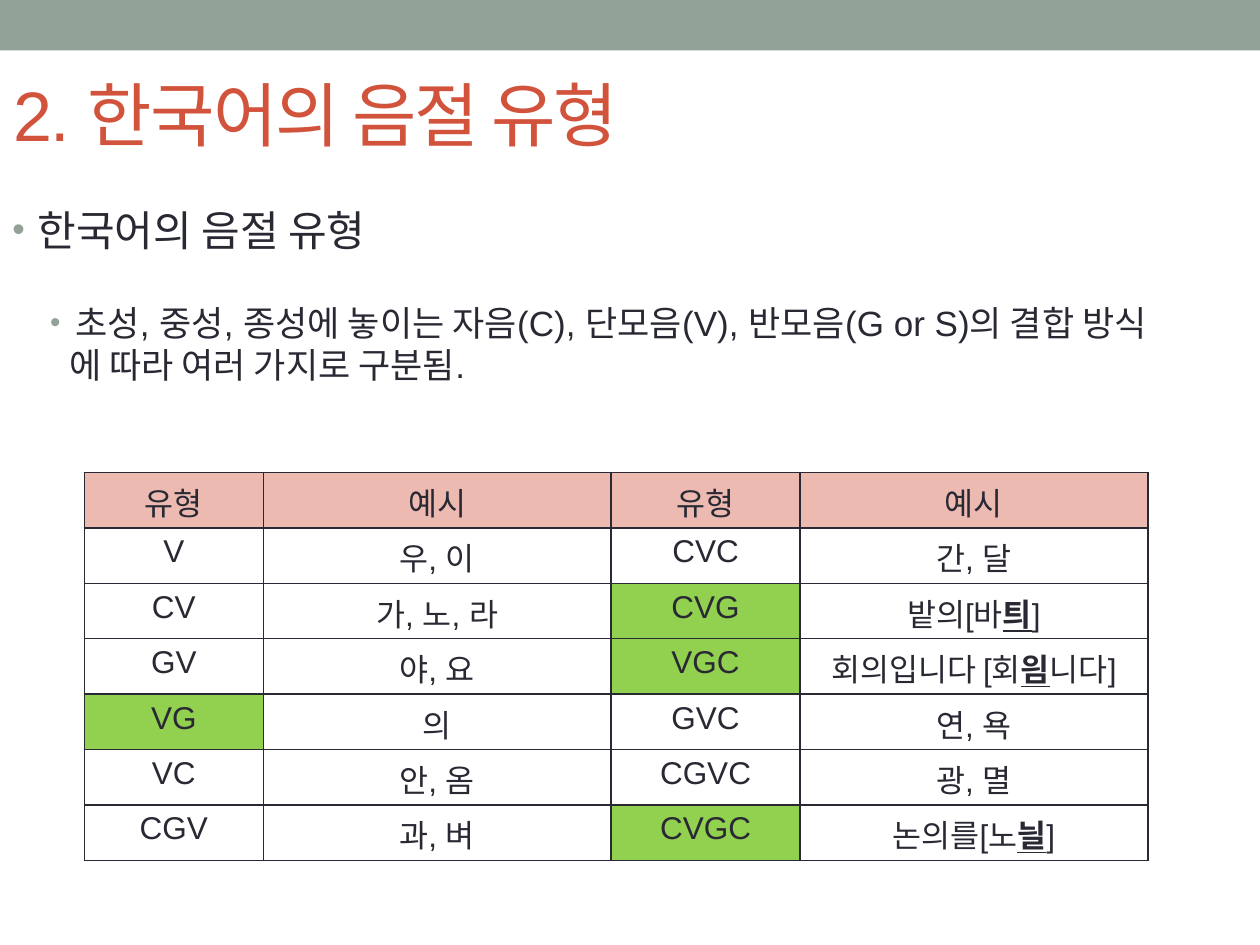
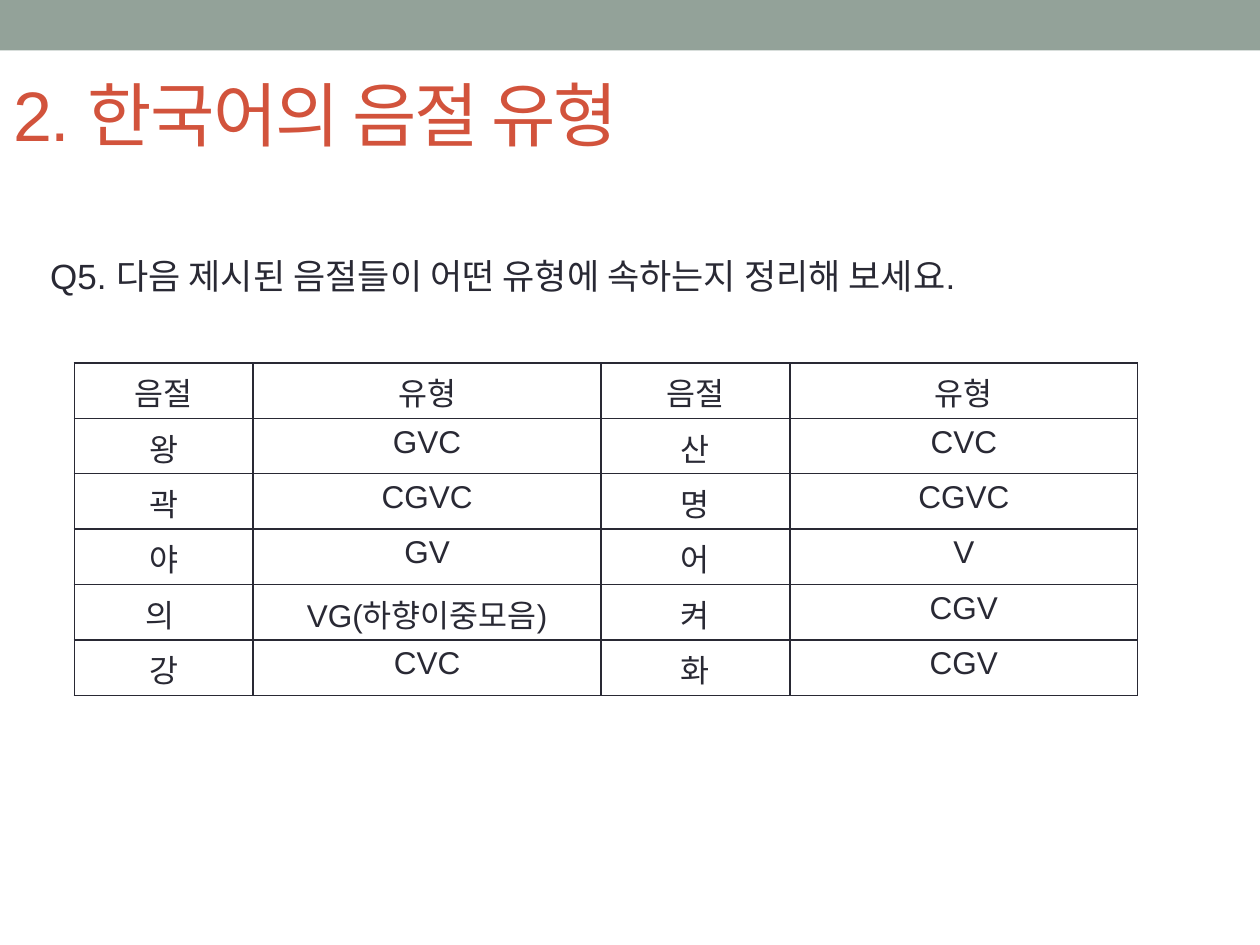
from dataclasses import dataclass

from lxml import etree
from pptx import Presentation
from pptx.dml.color import RGBColor
from pptx.enum import shapes, text
from pptx.oxml import ns
from pptx.util import Inches, Pt


@dataclass(frozen=True)
class Theme:
    """Colours and type sizes shared by the slides."""
    font: str = "Arial"
    band: str = "93A299"
    title: str = "D2533C"
    ink: str = "292934"
    head: str = "EDBAB1"
    mark: str = "92D050"
    title_pt: int = 40
    lead_pt: int = 24
    body_pt: int = 20
    cell_pt: int = 18


@dataclass(frozen=True)
class Line:
    """One body paragraph, with its indents in inches and gap in points."""
    words: str
    size: int
    left: float
    hang: float = 0
    gap: float = 0
    dot: bool = False


@dataclass(frozen=True)
class Grid:
    """A table: place, rows of words, head fill and marked labels."""
    left: float
    top: float
    rows: tuple[str, ...]
    head: str = ""
    marks: tuple[str, ...] = ()


@dataclass(frozen=True)
class Page:
    """The content of one slide."""
    inset: float
    lines: tuple[Line, ...]
    grid: Grid


LOOK = Theme()
TITLE = "2. 한국어의 음절 유형"
COLS = (1.42, 2.76, 1.5, 2.76)
ROW = 0.44

PAGES = (
    Page(0, (
        Line("한국어의 음절 유형", LOOK.lead_pt, 0.2, -0.2, dot=True),
        Line("초성, 중성, 종성에 놓이는 자음(C), 단모음(V), 반모음(G or S)의 결합 방식",
             LOOK.body_pt, 0.5, -0.2, 26.7, True),
        Line("에 따라 여러 가지로 구분됨.", LOOK.body_pt, 0.45),
    ), Grid(0.67, 3.75, (
        "유형|예시|유형|예시",
        "V|우, 이|CVC|간, 달",
        "CV|가, 노, 라|CVG|밭의[바*틔*]",
        "GV|야, 요|VGC|회의입니다 [회*읨*니다]",
        "VG|의|GVC|연, 욕",
        "VC|안, 옴|CGVC|광, 멸",
        "CGV|과, 벼|CVGC|논의를[노*늴*]",
    ), LOOK.head, ("VG", "CVG", "VGC", "CVGC"))),
    Page(0.4, (
        Line("Q5. 다음 제시된 음절들이 어떤 유형에 속하는지 정리해 보세요.",
             LOOK.body_pt, 0.3),
    ), Grid(0.59, 2.88, (
        "음절|유형|음절|유형",
        "왕|GVC|산|CVC",
        "곽|CGVC|명|CGVC",
        "야|GV|어|V",
        "의 |VG(하향이중모음)|켜|CGV",
        "강|CVC|화|CGV",
    ))),
)


def add_run(para, words: str, size: int, hue: str, bold: bool = False):
    """Add one run; a bold run is underlined too."""
    run = para.add_run()
    run.text = words
    font = run.font
    font.name, font.size = LOOK.font, Pt(size)
    font.color.rgb = RGBColor.from_string(hue)
    if bold:
        font.bold = font.underline = True
    return run


def add_box(slide, left: float, top: float, wide: float, high: float):
    """Add a wrapping text box and return its frame."""
    frame = slide.shapes.add_textbox(
        Inches(left), Inches(top), Inches(wide), Inches(high)).text_frame
    frame.word_wrap = True
    return frame


def add_band(slide) -> None:
    """Draw the band along the top edge."""
    band = slide.shapes.add_shape(
        shapes.MSO_SHAPE.RECTANGLE, 0, 0, Inches(10), Inches(0.4))
    band.shadow.inherit = False
    band.fill.solid()
    band.fill.fore_color.rgb = RGBColor.from_string(LOOK.band)
    band.line.fill.background()


def add_title(slide) -> None:
    """Write the slide title."""
    frame = add_box(slide, 0.01, 0.36, 9, 1.08)
    frame.vertical_anchor = text.MSO_ANCHOR.MIDDLE
    run = add_run(frame.paragraphs[0], TITLE, LOOK.title_pt, LOOK.title)
    run.font._element.set("spc", "-100")


def add_dot(props) -> None:
    """Give paragraph properties a round bullet."""
    hue = etree.SubElement(props, ns.qn("a:buClr"))
    etree.SubElement(hue, ns.qn("a:srgbClr"), val=LOOK.band)
    etree.SubElement(props, ns.qn("a:buSzPct"), val="85000")
    etree.SubElement(props, ns.qn("a:buFont"), typeface=LOOK.font)
    etree.SubElement(props, ns.qn("a:buChar"), char="•")


def add_body(slide, page: Page) -> None:
    """Write the body paragraphs."""
    frame = add_box(slide, 0, 1.62, 10, 5.75)
    frame.margin_top = Inches(page.inset)
    for spot, line in enumerate(page.lines):
        para = frame.add_paragraph() if spot else frame.paragraphs[0]
        para.space_before = Pt(line.gap)
        props = para._p.get_or_add_pPr()
        props.set("marL", str(Inches(line.left)))
        props.set("indent", str(Inches(line.hang)))
        if line.dot:
            add_dot(props)
        add_run(para, line.words, line.size, LOOK.ink)


def add_edges(cell) -> None:
    """Draw a thin line on each side of a cell."""
    props = cell._tc.get_or_add_tcPr()
    for spot, side in enumerate(("lnL", "lnR", "lnT", "lnB")):
        edge = etree.Element(ns.qn(f"a:{side}"), w=str(Pt(1)))
        fill = etree.SubElement(edge, ns.qn("a:solidFill"))
        etree.SubElement(fill, ns.qn("a:srgbClr"), val=LOOK.ink)
        props.insert(spot, edge)


def fill_cell(cell, words: str, hue: str) -> None:
    """Write and style a cell; words between stars stand out."""
    if hue:
        cell.fill.solid()
        cell.fill.fore_color.rgb = RGBColor.from_string(hue)
    else:
        cell.fill.background()
    add_edges(cell)
    para = cell.text_frame.paragraphs[0]
    para.alignment = text.PP_ALIGN.CENTER
    for spot, part in enumerate(words.split("*")):
        add_run(para, part, LOOK.cell_pt, LOOK.ink, spot % 2 == 1)


def add_grid(slide, grid: Grid) -> None:
    """Draw a table."""
    count = len(grid.rows)
    table = slide.shapes.add_table(
        count, len(COLS), Inches(grid.left), Inches(grid.top),
        Inches(sum(COLS)), Inches(ROW * count)).table
    table.first_row = table.horz_banding = False
    for col, wide in zip(table.columns, COLS):
        col.width = Inches(wide)
    for r, row in enumerate(grid.rows):
        table.rows[r].height = Inches(ROW)
        for c, words in enumerate(row.split("|")):
            mark = LOOK.mark if words in grid.marks else ""
            fill_cell(table.cell(r, c), words, mark if r else grid.head)


def main() -> None:
    """Build and save the slides."""
    deck = Presentation()
    deck.slide_width, deck.slide_height = Inches(10), Inches(7.5)
    for page in PAGES:
        slide = deck.slides.add_slide(deck.slide_layouts[6])
        add_band(slide)
        add_title(slide)
        add_body(slide, page)
        add_grid(slide, page.grid)
    deck.save("out.pptx")


if __name__ == "__main__":
    main()
